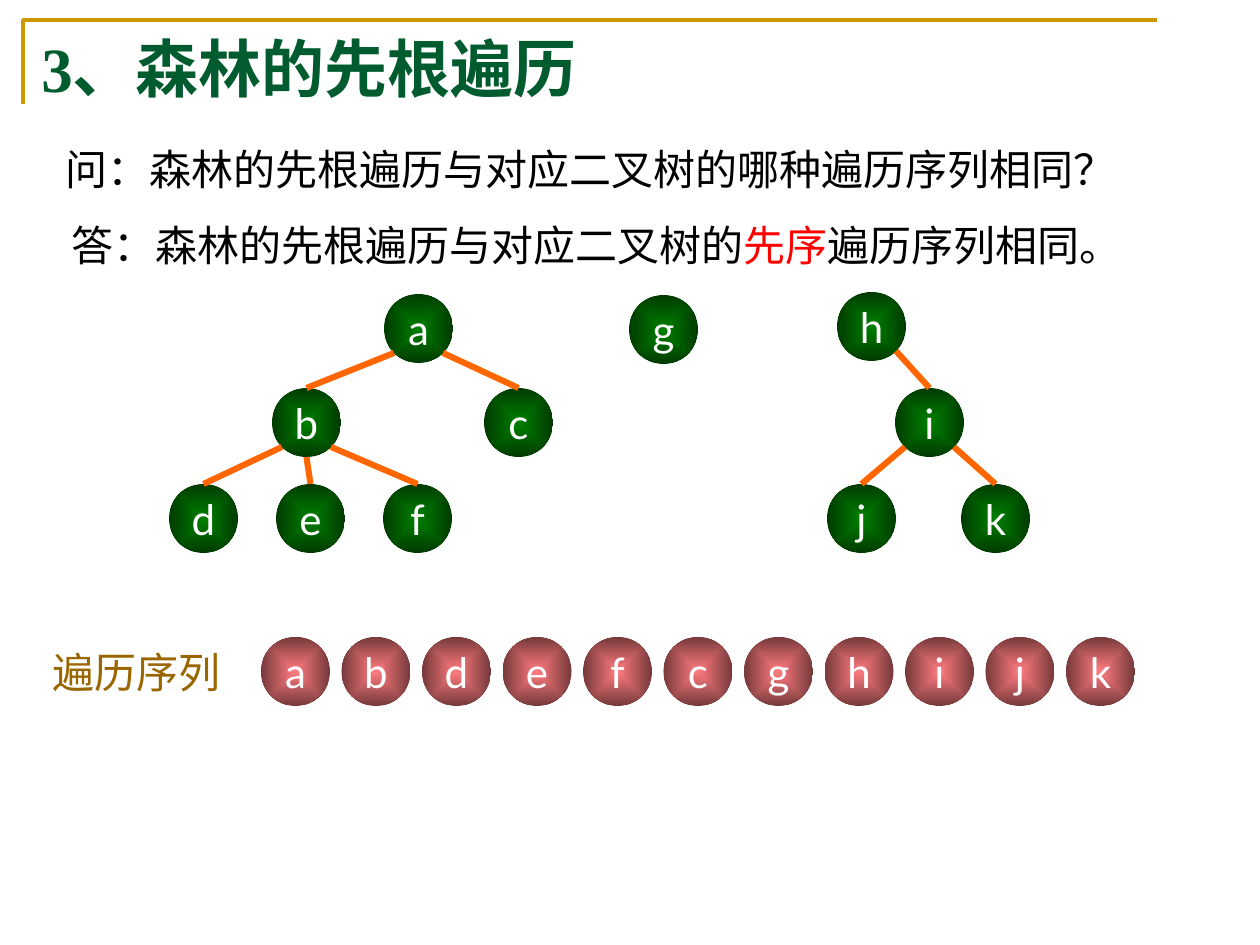
from lxml.etree import SubElement
from pptx import Presentation
from pptx.dml.color import RGBColor
from pptx.enum.shapes import MSO_CONNECTOR, MSO_SHAPE
from pptx.enum.text import MSO_ANCHOR, PP_ALIGN
from pptx.oxml import parse_xml
from pptx.oxml.ns import nsdecls, qn
from pptx.util import Emu, Pt

SCALE = 914400 / 126
NODE = 69
NODE_INSET = 10
GREEN = ("008000", "003B00")
PINK = ("FF7C80", "76393B")

TREE_NODES = {
    "a": (215, 2), "g": (460, 3), "h": (668, 0),
    "b": (103, 96), "c": (315, 96), "i": (726, 96),
    "d": (0, 192), "e": (107, 192), "f": (214, 192),
    "j": (658, 192), "k": (792, 192),
}
LEFT, MIDDLE, RIGHT = NODE_INSET, NODE / 2, NODE - NODE_INSET
BRANCHES = [
    ("a", "b", LEFT), ("a", "c", RIGHT),
    ("b", "d", LEFT), ("b", "e", MIDDLE), ("b", "f", RIGHT),
    ("h", "i", RIGHT), ("i", "j", LEFT), ("i", "k", RIGHT),
]


def px(length):
    return Emu(round(length * SCALE))


def color(hex_value):
    return RGBColor.from_string(hex_value)


def style(paragraph, size, font_name, bold=False):
    paragraph.font.size = Pt(size)
    paragraph.font.name = font_name
    paragraph.font.bold = bold


def add_text(slide, box, pieces, size=24, font_name="Times New Roman",
             bold=False, anchor=MSO_ANCHOR.TOP, spacing=None):
    frame = slide.shapes.add_textbox(*map(px, box)).text_frame
    frame.word_wrap = True
    frame.vertical_anchor = anchor
    paragraph = frame.paragraphs[0]
    style(paragraph, size, font_name, bold)
    paragraph.line_spacing = spacing
    for words, tint in pieces:
        run = paragraph.add_run()
        run.text = words
        run.font.color.rgb = color(tint)


def add_node(slide, left, top, letter, shades):
    node = slide.shapes.add_shape(MSO_SHAPE.OVAL, *map(px, (left, top, NODE, NODE)))
    node.shadow.inherit = False
    node.line.fill.background()
    center, edge = shades
    gradient = parse_xml(
        f'<a:gradFill {nsdecls("a")} rotWithShape="1"><a:gsLst>'
        f'<a:gs pos="0"><a:srgbClr val="{center}"/></a:gs>'
        f'<a:gs pos="100000"><a:srgbClr val="{edge}"/></a:gs></a:gsLst>'
        '<a:path path="rect"><a:fillToRect l="50000" t="50000" r="50000" b="50000"/>'
        '</a:path></a:gradFill>')
    node.element.spPr.find(qn("a:prstGeom")).addnext(gradient)
    frame = node.text_frame
    frame.word_wrap = False
    frame.vertical_anchor = MSO_ANCHOR.MIDDLE
    paragraph = frame.paragraphs[0]
    paragraph.text = letter
    paragraph.alignment = PP_ALIGN.CENTER
    style(paragraph, 24, "Lato")
    paragraph.font.color.rgb = color("FFFFFF")


def add_branch(slide, start, end):
    branch = slide.shapes.add_connector(MSO_CONNECTOR.STRAIGHT, *map(px, start + end))
    branch.line.color.rgb = color("FF6600")
    branch.line.width = Pt(3.5)
    SubElement(branch.element.spPr, qn("a:effectLst"))


def add_heading(slide, left, top, width, height):
    builder = slide.shapes.build_freeform(left, top + height, scale=SCALE)
    builder.add_line_segments([(left, top), (left + width, top)], close=False)
    corner = builder.convert_to_shape()
    corner.shadow.inherit = False
    corner.fill.background()
    corner.line.color.rgb = color("CC9900")
    corner.line.width = Pt(2)
    add_text(slide, (left + 6, top - 20, 1042, 111), [("3、森林的先根遍历", "005C2E")],
             size=36, bold=True, anchor=MSO_ANCHOR.BOTTOM, spacing=1.2)


def add_question_and_answer(slide, left, top, width):
    add_text(slide, (left, top, width, 193),
             [("问：森林的先根遍历与对应二叉树的哪种遍历序列相同？", "000000")])
    add_text(slide, (left + 6, top + 76, width + 30, 149),
             [("答：森林的先根遍历与对应二叉树的", "000000"), ("先序", "FF0000"),
              ("遍历序列相同。", "000000")])


def add_forest(slide, left, top):
    for letter, (x, y) in TREE_NODES.items():
        add_node(slide, left + x, top + y, letter, GREEN)
    for parent, child, side in BRANCHES:
        parent_x, parent_y = TREE_NODES[parent]
        child_x, child_y = TREE_NODES[child]
        drop = NODE if side == MIDDLE else NODE - NODE_INSET
        add_branch(slide, (left + parent_x + side, top + parent_y + drop),
                   (left + child_x + NODE / 2, top + child_y))


def add_sequence(slide, left, top, width, letters):
    add_text(slide, (left, top + 3, 233, 63), [("遍历序列", "996600")], font_name="Lato")
    first = left + 221
    step = (left + width - NODE - first) / (len(letters) - 1)
    for position, letter in enumerate(letters):
        add_node(slide, first + position * step, top, letter, PINK)


def main():
    presentation = Presentation()
    presentation.slide_width = px(1260)
    presentation.slide_height = px(945)
    slide = presentation.slides.add_slide(presentation.slide_layouts[6])
    add_heading(slide, 23, 20, 1134, 84)
    add_question_and_answer(slide, 53, 137, 1110)
    add_forest(slide, 169, 292)
    add_sequence(slide, 40, 637, 1095, "abdefcghijk")
    presentation.save("out.pptx")


if __name__ == "__main__":
    main()
